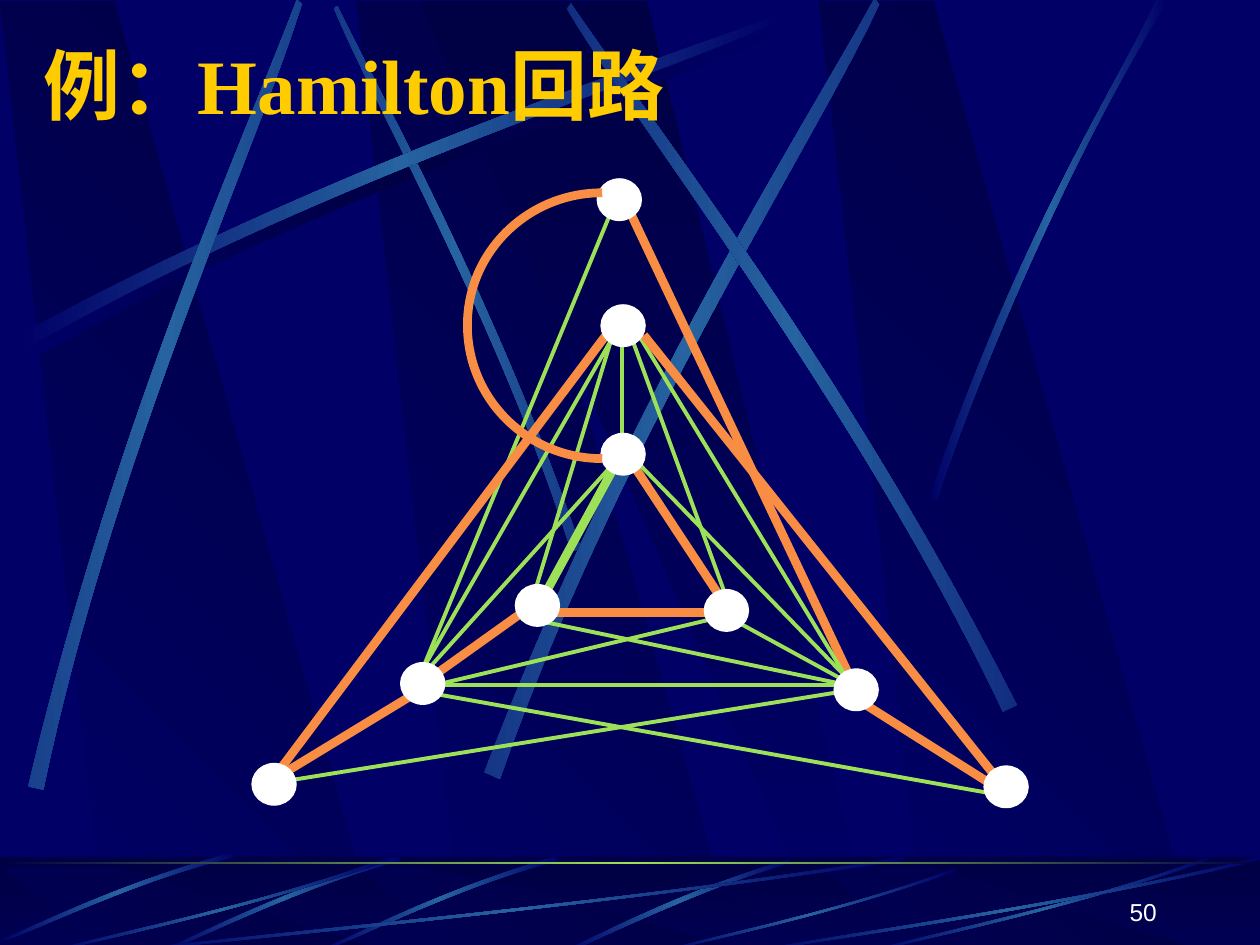
"""Build the Hamilton circuit example slide."""
from copy import deepcopy
from dataclasses import dataclass

from lxml import etree
from pptx import Presentation
from pptx.dml.color import RGBColor
from pptx.enum.shapes import MSO_CONNECTOR, MSO_SHAPE
from pptx.enum.text import MSO_ANCHOR, PP_ALIGN
from pptx.oxml.ns import qn
from pptx.util import Cm, Pt

STRAIGHT = MSO_CONNECTOR.STRAIGHT
RECTANGLE, OVAL = MSO_SHAPE.RECTANGLE, MSO_SHAPE.OVAL
MIDDLE, BOTTOM = MSO_ANCHOR.MIDDLE, MSO_ANCHOR.BOTTOM
LEFT, RIGHT = PP_ALIGN.LEFT, PP_ALIGN.RIGHT

COLORS = {
    "night": "000066", "deep": "000044", "ray": "2663A0", "edge": "9CE157",
    "tour": "F98D43", "title": "FFCC00", "white": "FFFFFF",
}
GRID = 2.54
THIN, THICK = 2.25, 5

Point = tuple[float, float]


@dataclass(frozen=True)
class Outline:
    commands: str
    points: tuple[Point, ...]


@dataclass(frozen=True)
class Band:
    outline: Outline
    left: float
    top: float
    width: float
    height: float
    tones: tuple[str, ...] = ("night", "ray", "night")
    angle: float = 0
    rotation: float = 0
    mirrored: bool = False


@dataclass(frozen=True)
class Edge:
    start: Point
    end: Point
    color: str = "edge"
    weight: float = THIN


@dataclass(frozen=True)
class Label:
    runs: tuple[tuple[str, str], ...]
    box: tuple[float, float, float, float]
    size: int
    color: str
    bold: bool
    anchor: MSO_ANCHOR
    align: PP_ALIGN


PANEL = Outline("LLL", ((0.28, 1), (1, 1), (0.3, 0), (0, 0)))
WEDGE = Outline("LLL", ((0, 0), (0.9, 1), (1, 1), (0.5, 0)))
BEAM = Outline("CLC", ((0, 0.96), (0.43, 0.43), (0.83, 0.15), (1, 0),
                       (1, 0.02), (0.84, 0.19), (0.39, 0.5), (0.01, 1)))
SPIKE = Outline("CLC", ((0, 0.99), (0.4, 0.44), (0.79, 0.17), (0.95, 0),
                        (1, 0), (0.52, 0.37), (0.16, 0.81), (0.03, 1)))
RIBBON = Outline("CLC", ((0.99, 0), (0.49, 0.37), (0.16, 0.82), (0, 0.99),
                         (0.03, 1), (0.23, 0.77), (0.68, 0.25), (1, 0.04)))
SWEEP = Outline("CLC", ((1, 0.04), (0.57, 0.57), (0.17, 0.85), (0.01, 1),
                        (0, 0.99), (0.17, 0.81), (0.62, 0.51), (1, 0)))
TOUR_ARC = Outline("CC", ((4.78, 1.53), (4.19, 1.53), (3.71, 2), (3.71, 2.58),
                          (3.71, 3.17), (4.19, 3.64), (4.78, 3.64)))


def panels(top: float, height: float) -> list[Band]:
    """Lay out the slanted panels of one zone."""
    slanted = [Band(PANEL, left, top, 3.02, height, ("night", "deep"), 45) for left in (2.83, 0, 6.5)]
    return slanted + [Band(WEDGE, 3.33, top, 3.61, height, ("deep", "night"), 270)]


WALL = panels(0.01, 7.51) + [
    Band(BEAM, 0.2, 0.18, 6.08, 2.67, ("night", "deep", "night")),
    Band(BEAM, 1.41, 1.35, 4.42, 1.75, rotation=45, mirrored=True),
    Band(BEAM, 0.14, 0.1, 6.08, 2.67),
    Band(BEAM, -1.71, 1.82, 6.08, 2.67, rotation=311.7),
    Band(BEAM, 2.31, 1.6, 6.24, 3.01, rotation=321.6),
    Band(BEAM, 3.23, 1.52, 6.08, 2.67, rotation=34.7, mirrored=True),
    Band(SPIKE, 7.38, 0, 1.89, 3.97),
]
FLOOR_RAYS = [Band(RIBBON, 4.48, 6.82, 1.8, 0.73)] + [
    Band(BEAM, left, top, width, height, rotation=315, mirrored=True)
    for left, top, width, height in ((2.58, 6.76, 1.84, 0.83), (1.33, 6.76, 1.84, 0.83),
                                     (0.04, 6.7, 1.8, 0.85))
] + [
    Band(SWEEP, left, 7.55 - height, width, height)
    for left, width, height in ((1, 6.17, 0.75), (0.42, 2.67, 0.75), (5.27, 2.31, 0.66),
                                (6.92, 2.67, 0.75), (6, 4, 0.75))
]
EDGES = [
    Edge((4.35, 4.86), (5.64, 4.86), "tour", THICK),
    Edge((4.94, 2.7), (4.94, 3.52)),
    Edge((3.44, 5.44), (6.82, 5.44)),
    Edge((4.89, 3.68), (4.29, 4.78), weight=THICK),
    Edge((5.02, 3.68), (5.79, 4.85), "tour", THICK),
    Edge((4.85, 2.7), (4.21, 4.81)),
    Edge((4.85, 1.68), (3.3, 5.44)),
    Edge((4.98, 1.64), (6.74, 5.36), "tour", THICK),
    Edge((5.02, 2.7), (5.79, 4.81)),
    Edge((5.07, 2.66), (6.78, 5.48)),
    Edge((4.85, 2.7), (3.35, 5.32)),
    Edge((5.11, 2.66), (7.89, 6.15), "tour", THICK),
    Edge((4.81, 2.66), (2.19, 6.15), "tour", THICK),
    Edge((6.77, 5.53), (7.94, 6.27), "tour", THICK),
    Edge((3.3, 5.48), (7.94, 6.31)),
    Edge((5.84, 4.93), (6.7, 5.4)),
    Edge((4.16, 4.85), (3.39, 5.4), "tour", THICK),
    Edge((3.25, 5.53), (2.23, 6.15), "tour", THICK),
    Edge((4.29, 4.93), (6.74, 5.44)),
    Edge((2.32, 6.19), (6.74, 5.48)),
    Edge((5.07, 3.68), (6.74, 5.4)),
    Edge((3.44, 5.44), (5.75, 4.89)),
    Edge((3.39, 5.32), (4.94, 3.6)),
]
VERTICES = [(2, 6.06), (3.18, 5.26), (4.09, 4.64), (4.74, 1.42), (4.77, 2.42),
            (4.77, 3.44), (5.59, 4.68), (6.62, 5.31), (7.81, 6.08)]
TITLE = Label((("例：", "Montserrat"), ("Hamilton回路", "Times New Roman")),
              (0.25, 0.25, 8.5, 0.83), 44, "title", True, MIDDLE, LEFT)
PAGE_NUMBER = Label((("50", "Arial"),), (7.2, 6.9, 2.08, 0.5), 14, "white", False, BOTTOM, RIGHT)


def length(units: float) -> Cm:
    """Turn grid units into a length."""
    return Cm(units * GRID)


def rgb(name: str) -> RGBColor:
    """Look up a palette colour."""
    return RGBColor.from_string(COLORS[name])


def add_outline(slide, outline: Outline, close: bool):
    """Draw a freeform, joining triples of points into Bezier segments."""
    start, *rest = [(length(x), length(y)) for x, y in outline.points]
    builder = slide.shapes.build_freeform(*start)
    builder.add_line_segments(rest, close=close)
    shape = builder.convert_to_shape()
    shape.shadow.inherit = False
    segments = iter(shape._element.spPr.findall(".//" + qn("a:lnTo")))
    for command in outline.commands:
        segment = next(segments)
        if command == "C":
            segment.tag = qn("a:cubicBezTo")
            for extra in (next(segments), next(segments)):
                segment.append(extra[0])
                extra.getparent().remove(extra)
    return shape


def paint_gradient(shape, tones: tuple[str, ...], angle: float) -> None:
    """Fill a shape with evenly spaced tones and no outline."""
    shape.line.fill.background()
    shape.fill.gradient()
    gradient = shape._element.spPr.find(qn("a:gradFill"))
    gradient.set("rotWithShape", "0")
    stops = gradient.find(qn("a:gsLst"))
    for _ in tones[2:]:
        stops.append(deepcopy(stops[0]))
    for index, (stop, tone) in enumerate(zip(shape.fill.gradient_stops, tones)):
        stop.color.rgb = rgb(tone)
        stop.position = index / (len(tones) - 1)
    shape.fill.gradient_angle = angle


def add_band(slide, band: Band) -> None:
    """Draw one background band."""
    points = tuple((band.left + band.width * (1 - x if band.mirrored else x), band.top + band.height * y)
                   for x, y in band.outline.points)
    shape = add_outline(slide, Outline(band.outline.commands, points), True)
    paint_gradient(shape, band.tones, band.angle)
    shape.rotation = band.rotation


def add_preset(slide, kind: MSO_SHAPE, left: float, top: float, width: float, height: float):
    """Place a preset shape without shadow."""
    shape = slide.shapes.add_shape(kind, *map(length, (left, top, width, height)))
    shape.shadow.inherit = False
    return shape


def add_floor(slide) -> None:
    """Draw the floor zone with its rays and horizon."""
    paint_gradient(add_preset(slide, RECTANGLE, 0, 6.8, 10, 0.75), ("deep", "night"), 270)
    for band in panels(6.88, 0.66):
        add_band(slide, band)
    shade = add_preset(slide, RECTANGLE, 0, 6.8, 10, 0.75)
    shade.line.fill.background()
    shade.fill.solid()
    shade.fill.fore_color.rgb = rgb("deep")
    tint = shade._element.spPr.find(".//" + qn("a:srgbClr"))
    etree.SubElement(tint, qn("a:alpha")).set("val", "50000")
    for band in FLOOR_RAYS:
        add_band(slide, band)
    paint_gradient(add_preset(slide, RECTANGLE, 0, 6.84, 10, 0.02), ("deep", "edge", "deep"), 0)


def add_edge(slide, edge: Edge) -> None:
    """Draw one graph edge."""
    line = slide.shapes.add_connector(STRAIGHT, *map(length, edge.start + edge.end))
    line.line.color.rgb = rgb(edge.color)
    line.line.width = Pt(edge.weight)
    etree.SubElement(line._element.spPr, qn("a:effectLst"))


def add_graph(slide) -> None:
    """Draw the edges, vertices and curved tour edge."""
    for edge in EDGES:
        add_edge(slide, edge)
    for left, top in VERTICES:
        vertex = add_preset(slide, OVAL, left, top, 0.35, 0.33)
        vertex.fill.solid()
        vertex.fill.fore_color.rgb = vertex.line.color.rgb = rgb("white")
        vertex.line.width = Pt(0.75)
    arc = add_outline(slide, TOUR_ARC, False)
    arc.fill.background()
    arc.line.color.rgb = rgb("tour")
    arc.line.width = Pt(THICK)


def add_label(slide, label: Label) -> None:
    """Write one text box."""
    frame = slide.shapes.add_textbox(*map(length, label.box)).text_frame
    frame.word_wrap = True
    frame.vertical_anchor = label.anchor
    paragraph = frame.paragraphs[0]
    paragraph.alignment = label.align
    for text, font in label.runs:
        run = paragraph.add_run()
        run.text = text
        run.font.name, run.font.size, run.font.bold = font, Pt(label.size), label.bold
        run.font.color.rgb = rgb(label.color)


def main() -> None:
    """Assemble and save the slide."""
    deck = Presentation()
    deck.slide_width, deck.slide_height = length(10), length(7.5)
    slide = deck.slides.add_slide(deck.slide_layouts[6])
    slide.background.fill.solid()
    slide.background.fill.fore_color.rgb = rgb("night")
    for band in WALL:
        add_band(slide, band)
    add_floor(slide)
    add_label(slide, TITLE)
    add_graph(slide)
    add_label(slide, PAGE_NUMBER)
    deck.save("out.pptx")


if __name__ == "__main__":
    main()
